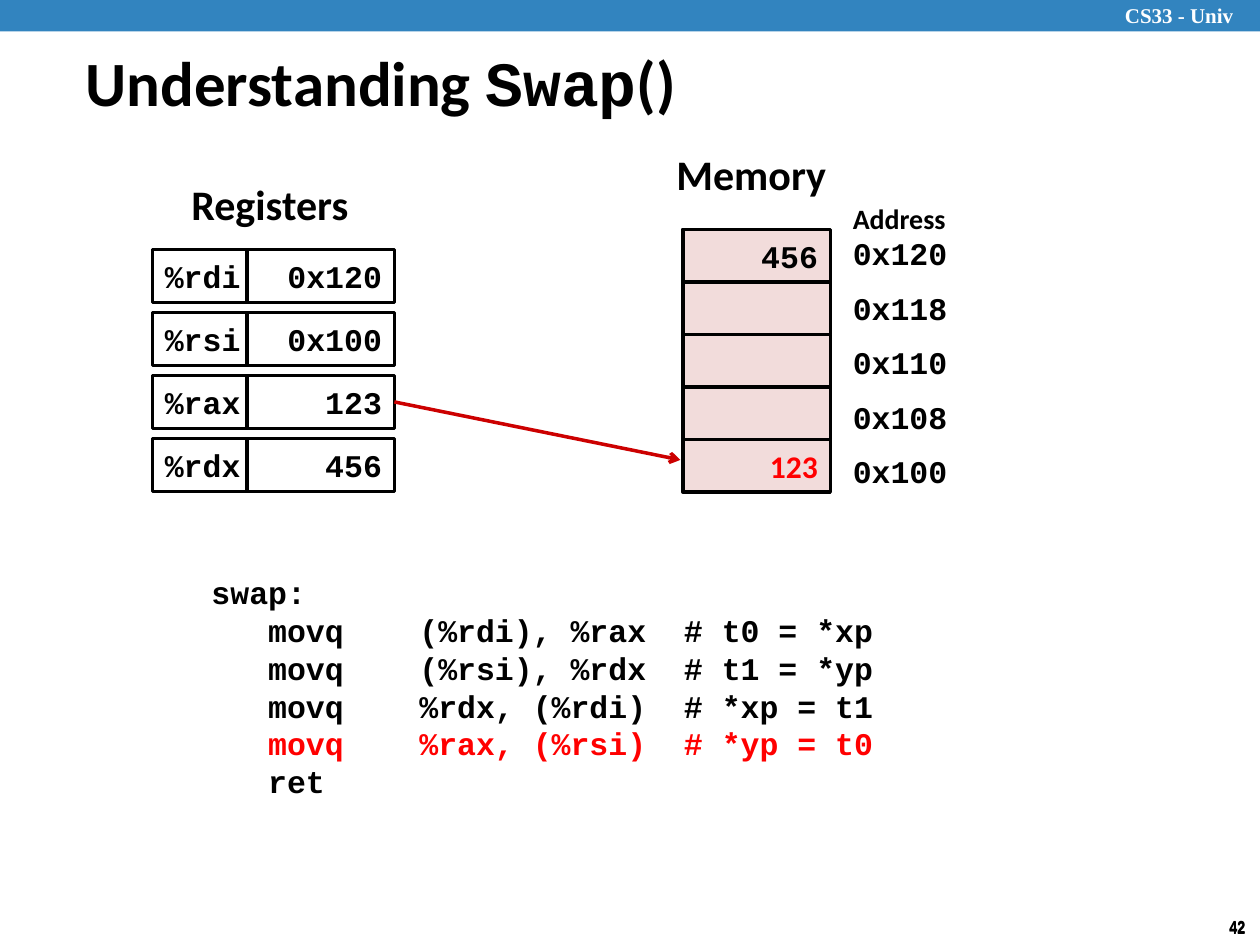
import pptx
import pptx.util
import pptx.dml.color
import pptx.enum.shapes
import pptx.enum.text
import pptx.oxml
import pptx.oxml.ns
import lxml.etree

Inches, Pt = pptx.util.Inches, pptx.util.Pt
MSO = pptx.enum.shapes.MSO_SHAPE
ALIGN = pptx.enum.text.PP_ALIGN
ANCHOR = pptx.enum.text.MSO_ANCHOR
qn = pptx.oxml.ns.qn

CODE = {"name": "Courier New", "size": Pt(18), "bold": True}
SANS = {"name": "Calibri", "size": Pt(18), "bold": True}
HEADING = {**SANS, "size": Pt(24)}


def color(value):
    return pptx.dml.color.RGBColor.from_string(value)


def write(s, text, font, ink="000000", align=ALIGN.LEFT, wrap=True, new=False):
    """Add a run to the last paragraph of s, or to a new one."""
    tf = s.text_frame
    tf.word_wrap = wrap
    p = tf.add_paragraph() if new else tf.paragraphs[-1]
    p.alignment = align
    r = p.add_run()
    r.text = text
    for key, value in font.items():
        setattr(r.font, key, value)
    r.font.color.rgb = color(ink)
    return p


prs = pptx.Presentation()
prs.slide_width, prs.slide_height = Inches(10), Inches(7.5)
slide = prs.slides.add_slide(prs.slide_layouts[5])

# Header band, course label and page number
band = slide.shapes.add_shape(MSO.RECTANGLE, 0, 0, Inches(10), Inches(0.25))
band.shadow.inherit = False
band.fill.solid()
band.fill.fore_color.rgb = color("3284BF")
band.line.fill.background()
s = slide.shapes.add_textbox(Inches(8.83), Inches(-0.03), Inches(1.24), Inches(0.3))
write(s, "CS33 - Univ", {"name": "Times New Roman", "size": Pt(12), "bold": True}, "FFFFFF")
for top in (7.23, 7.22):
    s = slide.shapes.add_textbox(Inches(9.66), Inches(top), Inches(0.34), Inches(0.27))
    write(s, "42", {"name": "Arial Narrow", "size": Pt(10), "bold": True}, wrap=False)

# Title
title = slide.shapes.title
title.left, title.top = Inches(0.58), Inches(0.33)
title.width, title.height = Inches(6.97), Inches(0.63)
title.text_frame.auto_size = pptx.enum.text.MSO_AUTO_SIZE.NONE
title.text_frame.vertical_anchor = ANCHOR.MIDDLE
for text, face in (("Understanding ", "Calibri"), ("Swap", "Courier New"), ("()", "Calibri")):
    write(title, text, {"name": face, "size": Pt(36), "bold": True})

# Memory and register cells: left, top, width, fill, text, font, ink, alignment
memory = ["456", "", "", "", "123"]
registers = [("%rdi", "0x120"), ("%rsi", "0x100"), ("%rax", "123"), ("%rdx", "456")]
cells = []
for i, value in enumerate(memory):
    font, ink = (SANS, "FF0000") if i == 4 else (CODE, "000000")
    cells.append((5.42, 1.82 + i * 5 / 12, 1.17, "F2DCDB", value, font, ink, ALIGN.RIGHT))
for i, (name, value) in enumerate(registers):
    top = 1.98 + i * 0.5
    cells.append((1.21, top, 0.75, "FFFFFF", name, CODE, "000000", ALIGN.LEFT))
    cells.append((1.96, top, 1.17, "FFFFFF", value, CODE, "000000", ALIGN.RIGHT))
for left, top, width, fill, text, font, ink, align in cells:
    s = slide.shapes.add_shape(MSO.RECTANGLE, Inches(left), Inches(top), Inches(width), Inches(0.42))
    s.shadow.inherit = False
    s.fill.solid()
    s.fill.fore_color.rgb = color(fill)
    s.line.color.rgb = color("000000")
    s.line.width = Pt(2)
    s.text_frame.vertical_anchor = ANCHOR.MIDDLE
    if text:
        write(s, text, font, ink, align, wrap=False)

# Headings and memory addresses
labels = [
    (1.42, 1.37, 1.48, 0.5, "Registers", HEADING),
    (5.27, 1.13, 1.4, 0.5, "Memory", HEADING),
    (6.67, 1.55, 1.33, 0.37, "Address", {**SANS, "size": Pt(16)}),
]
for i, address in enumerate(["0x120", "0x118", "0x110", "0x108", "0x100"]):
    labels.append((6.67, 1.81 + i * 0.433, 1.33, 0.4, address, CODE))
for left, top, width, height, text, font in labels:
    s = slide.shapes.add_textbox(Inches(left), Inches(top), Inches(width), Inches(height))
    write(s, text, font, wrap=False)

# Arrow from %rax to address 0x100
arrow = slide.shapes.add_connector(
    pptx.enum.shapes.MSO_CONNECTOR.STRAIGHT, Inches(3.13), Inches(3.19), Inches(5.4), Inches(3.65))
arrow.line.color.rgb = color("CC0000")
arrow.line.width = Pt(2)
lxml.etree.SubElement(arrow.line._get_or_add_ln(), qn("a:tailEnd"), type="arrow")
lxml.etree.SubElement(arrow._element.spPr, qn("a:effectLst"))

# Assembly code, columns aligned with tab stops
code = [
    "swap:",
    "\tmovq\t(%rdi), %rax\t# t0 = *xp",
    "\tmovq\t(%rsi), %rdx\t# t1 = *yp",
    "\tmovq\t%rdx, (%rdi)\t# *xp = t1",
    "\tmovq\t%rax, (%rsi)\t# *yp = t0",
    "\tret",
]
s = slide.shapes.add_textbox(Inches(1.58), Inches(4.5), Inches(6.42), Inches(1.92))
for i, line in enumerate(code):
    p = write(s, line, CODE, "FF0000" if i == 4 else "000000", new=i > 0)
    tabs = lxml.etree.SubElement(p._p.get_or_add_pPr(), qn("a:tabLst"))
    for stop in (0.45, 1.65, 3.75):
        lxml.etree.SubElement(tabs, qn("a:tab"), pos=str(Inches(stop)), algn="l")

prs.save("out.pptx")
